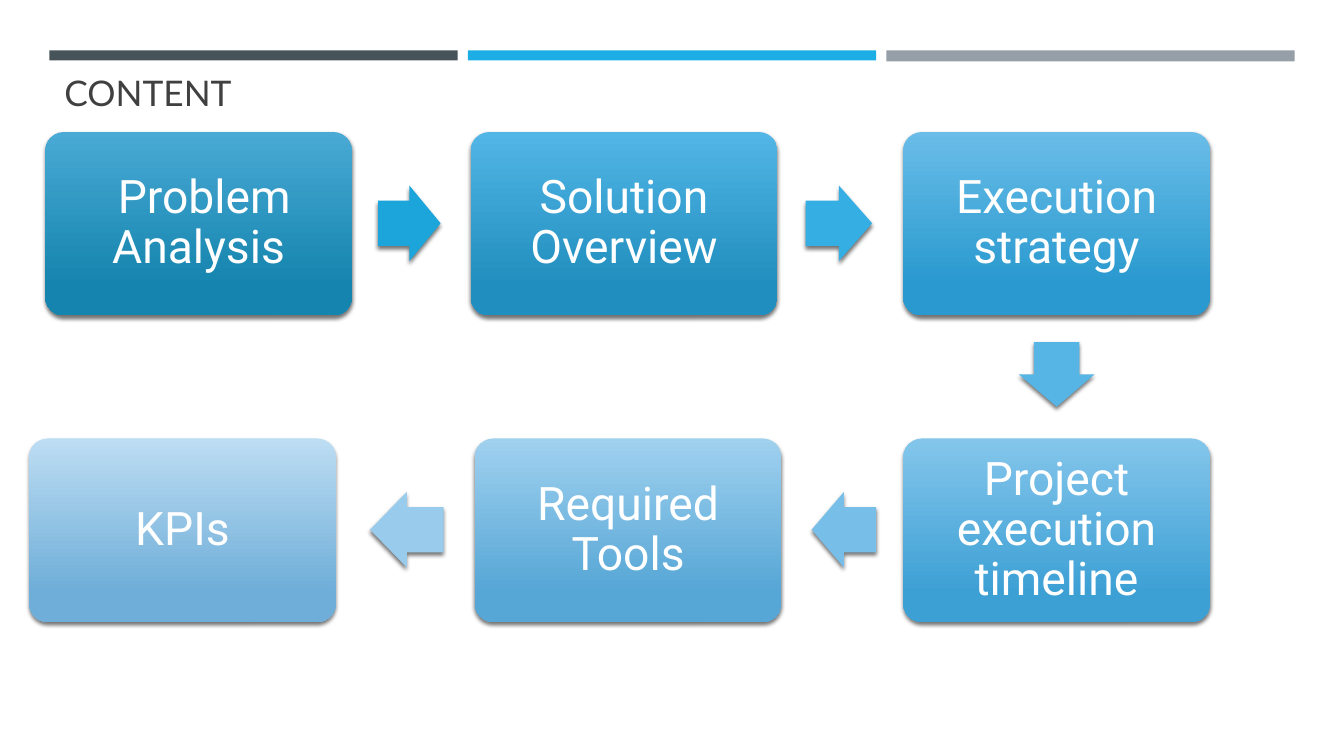
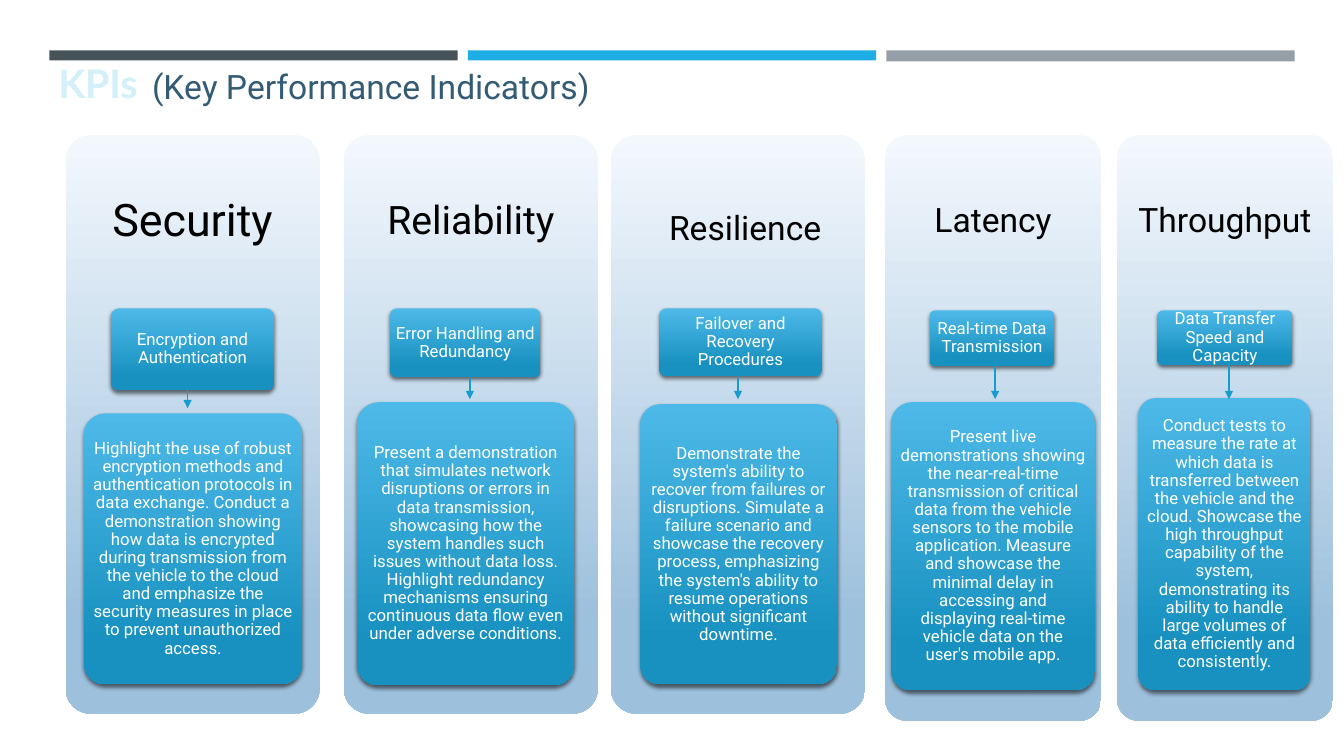
from collections import namedtuple

from lxml import etree
from pptx import Presentation
from pptx import util as u
from pptx.dml.color import RGBColor
from pptx.enum import dml, shapes, text
from pptx.oxml.ns import qn

PX = 9144  # 100 px to the inch
TITLE_FONT, BODY_FONT = "Lato", "Roboto"
WHITE, BLACK = "FFFFFF", "000000"
ACCENT, PALE_ACCENT, ARROW_LINE = "1CADE4", "D2EFFA", "189CCE"
PANEL_COLORS = ("F3F8FD", "9DC0DC")
CARD_COLORS = ("4DB9E8", "1891C0")
BANDS = [("465359", 10), (ACCENT, 10), ("969FA7", 11)]

# left, top, top colour, bottom colour, wording
STEPS = [
    (45, 131, "48AAD5", "1584AE", " Problem Analysis"),
    (467, 131, "52B6E6", "208EBE", "Solution Overview"),
    (896, 131, "69BDE8", "2999CF", "Execution strategy"),
    (896, 435, "84C6EB", "3DA0D5", "Project execution timeline"),
    (471, 435, "A0D1EF", "56A6D6", "Required Tools"),
    (29, 435, "BDDDF3", "6FAED8", "KPIs"),
]
# left, top, width, rotation, colour
STEP_ARROWS = [
    (375, 184, 62, 0, "1BA5DA"),
    (799, 184, 66, 0, "35AEE3"),
    (1016, 334, 64, 90, "57B5E6"),
    (805, 488, 64, 180, "77BFE9"),
    (367, 488, 73, 180, "98CBEC"),
]

Kpi = namedtuple("Kpi", "heading size heading_shift panel topic topic_box detail detail_box arrow")
KPIS = [
    Kpi("Security", 32, (0, 0), (65, 134, 252, 574),
        "Encryption and Authentication", (110, 306, 162, 81),
        "Highlight the use of robust encryption methods and authentication protocols in data "
        "exchange. Conduct a demonstration showing how data is encrypted during transmission "
        "from the vehicle to the cloud and emphasize the security measures in place to prevent "
        "unauthorized access.", (83, 410, 217, 269), (186, 386, 405)),
    Kpi("Reliability", 28, (0, 0), (341, 134, 252, 574),
        "Error Handling and Redundancy", (387, 306, 149, 68),
        "Present a demonstration that simulates network disruptions or errors in data "
        "transmission, showcasing how the system handles such issues without data loss. "
        "Highlight redundancy mechanisms ensuring continuous data flow even under adverse "
        "conditions.", (354, 399, 216, 281), (466, 375, 396)),
    Kpi("Resilience", 24, (7, 8), (606, 134, 252, 574),
        "Failover and Recovery Procedures", (654, 306, 161, 67),
        "Demonstrate the system's ability to recover from failures or disruptions. Simulate a "
        "failure scenario and showcase the recovery process, emphasizing the system's ability "
        "to resume operations without significant downtime.",
        (635, 401, 195, 278), (732, 375, 396)),
    Kpi("Latency", 24, (0, 0), (878, 134, 214, 581),
        "Real-time Data Transmission", (922, 308, 124, 55),
        "Present live demonstrations showing the near-real-time transmission of critical data "
        "from the vehicle sensors to the mobile application. Measure and showcase the minimal "
        "delay in accessing and displaying real-time vehicle data on the user's mobile app.",
        (884, 399, 202, 286), (987, 362, 396)),
    Kpi("Throughput", 24, (0, 0), (1108, 134, 214, 581),
        "Data Transfer Speed and Capacity", (1148, 308, 134, 54),
        "Conduct tests to measure the rate at which data is transferred between the vehicle and "
        "the cloud. Showcase the high throughput capability of the system, demonstrating its "
        "ability to handle large volumes of data efficiently and consistently.",
        (1129, 395, 171, 290), (1219, 362, 396)),
]


def px(*lengths):
    return [u.Emu(length * PX) for length in lengths]


def rgb(color):
    return RGBColor.from_string(color)


def write(shape, wording, size, color, font=BODY_FONT, margin=None, centered=True,
          anchor=text.MSO_ANCHOR.MIDDLE):
    frame = shape.text_frame
    frame.word_wrap = True
    frame.vertical_anchor = anchor
    if margin is not None:
        inset = u.Emu(margin * PX)
        frame.margin_left = frame.margin_right = inset
        frame.margin_top = frame.margin_bottom = inset
    paragraph = frame.paragraphs[0]
    paragraph.text = wording
    if centered:
        paragraph.alignment = text.PP_ALIGN.CENTER
        paragraph.line_spacing = 0.9
    else:
        paragraph.alignment = text.PP_ALIGN.LEFT
    paragraph.font.name = font
    paragraph.font.size = u.Pt(size)
    paragraph.font.color.rgb = rgb(color)
    return paragraph


def add_label(slide, box, wording, size, color, **style):
    return write(slide.shapes.add_textbox(*px(*box)), wording, size, color, **style)


def add_title(slide, box, wording, size, color):
    return add_label(slide, box, wording, size, color, font=TITLE_FONT, centered=False,
                     anchor=text.MSO_ANCHOR.BOTTOM)


def add_plain(slide, kind, box, color):
    shape = slide.shapes.add_shape(kind, *px(*box))
    shape.shadow.inherit = False
    shape.line.fill.background()
    shape.fill.solid()
    shape.fill.fore_color.rgb = rgb(color)
    return shape


def add_shadow(shape):
    """Soft black shadow falling straight down."""
    effects = shape._element.spPr.find(qn("a:effectLst"))
    shadow = etree.SubElement(effects, qn("a:outerShdw"), blurRad="38100", dist="25400",
                              dir="5400000", rotWithShape="0")
    black = etree.SubElement(shadow, qn("a:srgbClr"), val=BLACK)
    etree.SubElement(black, qn("a:alpha"), val="55000")


def add_rounded(slide, box, colors):
    """Rounded rectangle shaded from top to bottom."""
    shape = add_plain(slide, shapes.MSO_SHAPE.ROUNDED_RECTANGLE, box, colors[0])
    shape.adjustments[0] = 0.1
    shape.fill.gradient()
    shape.fill.gradient_angle = 270
    for stop, color, position in zip(shape.fill.gradient_stops, colors, (0, 0.84)):
        stop.color.rgb = rgb(color)
        stop.position = position
    return shape


def add_card(slide, box, colors, wording, size, margin):
    card = add_rounded(slide, box, colors)
    add_shadow(card)
    write(card, wording, size, WHITE, margin=margin)


def add_block_arrow(slide, left, top, width, rotation, color):
    arrow = add_plain(slide, shapes.MSO_SHAPE.RIGHT_ARROW, (left, top, width, 75), color)
    arrow.adjustments[0] = 0.6
    arrow.adjustments[1] = 0.5
    arrow.rotation = rotation
    add_shadow(arrow)


def add_down_arrow(slide, x, top, bottom):
    arrow = slide.shapes.add_connector(shapes.MSO_CONNECTOR.STRAIGHT, *px(x, top, x, bottom))
    arrow.line.color.rgb = rgb(ARROW_LINE)
    arrow.line.width = u.Pt(1)
    properties = arrow._element.spPr
    etree.SubElement(properties.find(qn("a:ln")), qn("a:tailEnd"), type="triangle")
    etree.SubElement(properties, qn("a:effectLst"))


def add_slide(deck):
    """Blank slide with the three bands across its top."""
    slide = deck.slides.add_slide(deck.slide_layouts[6])
    for column, (color, height) in enumerate(BANDS):
        add_plain(slide, shapes.MSO_SHAPE.RECTANGLE, (49 + 415 * column, 50, 405, height), color)
    return slide


def add_kpi(slide, kpi):
    left, top, width, _ = kpi.panel
    right_shift, down_shift = kpi.heading_shift
    add_rounded(slide, kpi.panel, PANEL_COLORS)
    add_label(slide, (left + right_shift, top + down_shift, width, 172),
              kpi.heading, kpi.size, BLACK, margin=10)
    add_card(slide, kpi.topic_box, CARD_COLORS, kpi.topic, 12, 3)
    add_card(slide, kpi.detail_box, CARD_COLORS, kpi.detail, 12, 3)
    add_down_arrow(slide, *kpi.arrow)


def build_content(deck):
    slide = add_slide(deck)
    for left, top, light, dark, wording in STEPS:
        add_card(slide, (left, top, 304, 182), (light, dark), wording, 33, 14)
    for arrow in STEP_ARROWS:
        add_block_arrow(slide, *arrow)
    add_title(slide, (54, 64, 202, 54), "CONTENT", 25.2, "404040")


def build_kpis(deck):
    slide = add_slide(deck)
    title = add_title(slide, (48, 42, 107, 68), "KPIs", 28, PALE_ACCENT)
    title.font.bold = True
    hatching = title.runs[0].font.fill
    hatching.patterned()
    hatching.pattern = dml.MSO_PATTERN.PERCENT_50
    hatching.fore_color.rgb = rgb(ACCENT)
    hatching.back_color.rgb = rgb(PALE_ACCENT)
    add_label(slide, (141, 60, 667, 50), "(Key Performance Indicators)", 24, "335B74",
              centered=False, anchor=text.MSO_ANCHOR.TOP)
    for kpi in KPIS:
        add_kpi(slide, kpi)


def main():
    deck = Presentation()
    deck.slide_width, deck.slide_height = px(1333, 750)
    build_content(deck)
    build_kpis(deck)
    deck.save("out.pptx")


if __name__ == "__main__":
    main()
